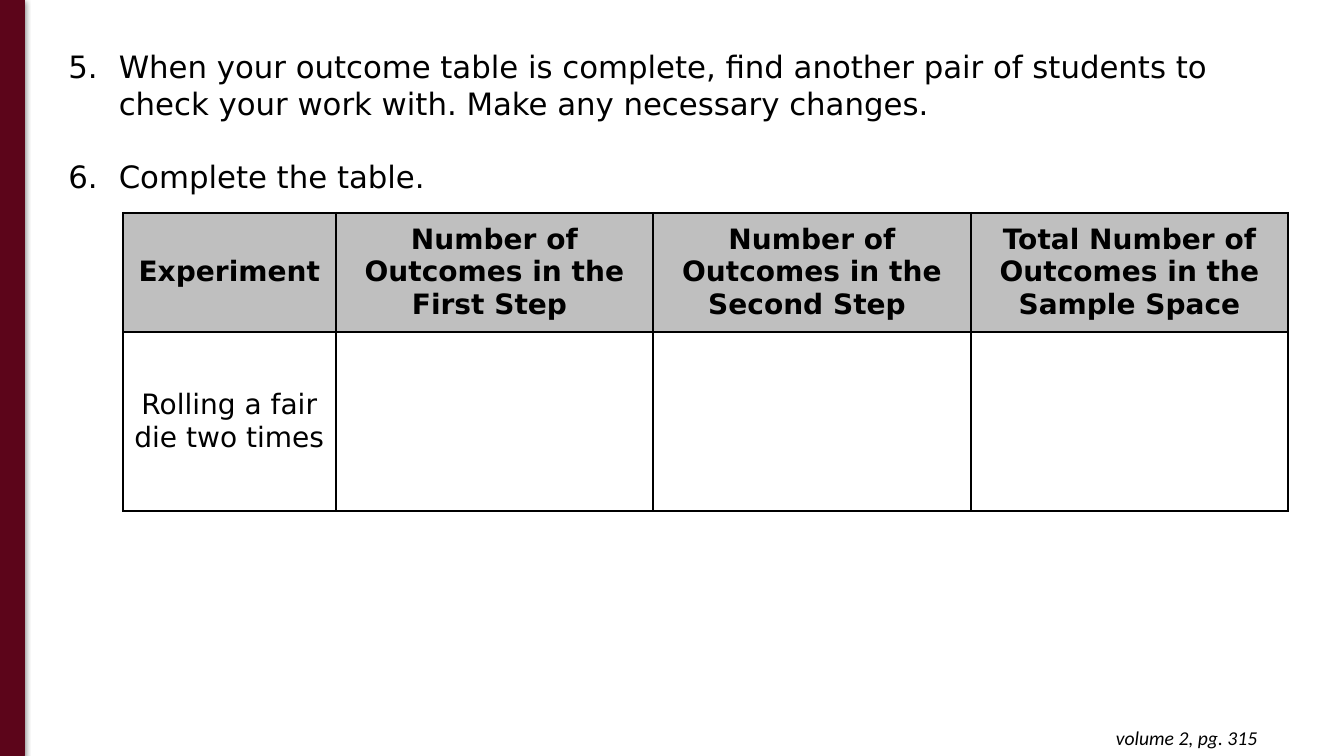
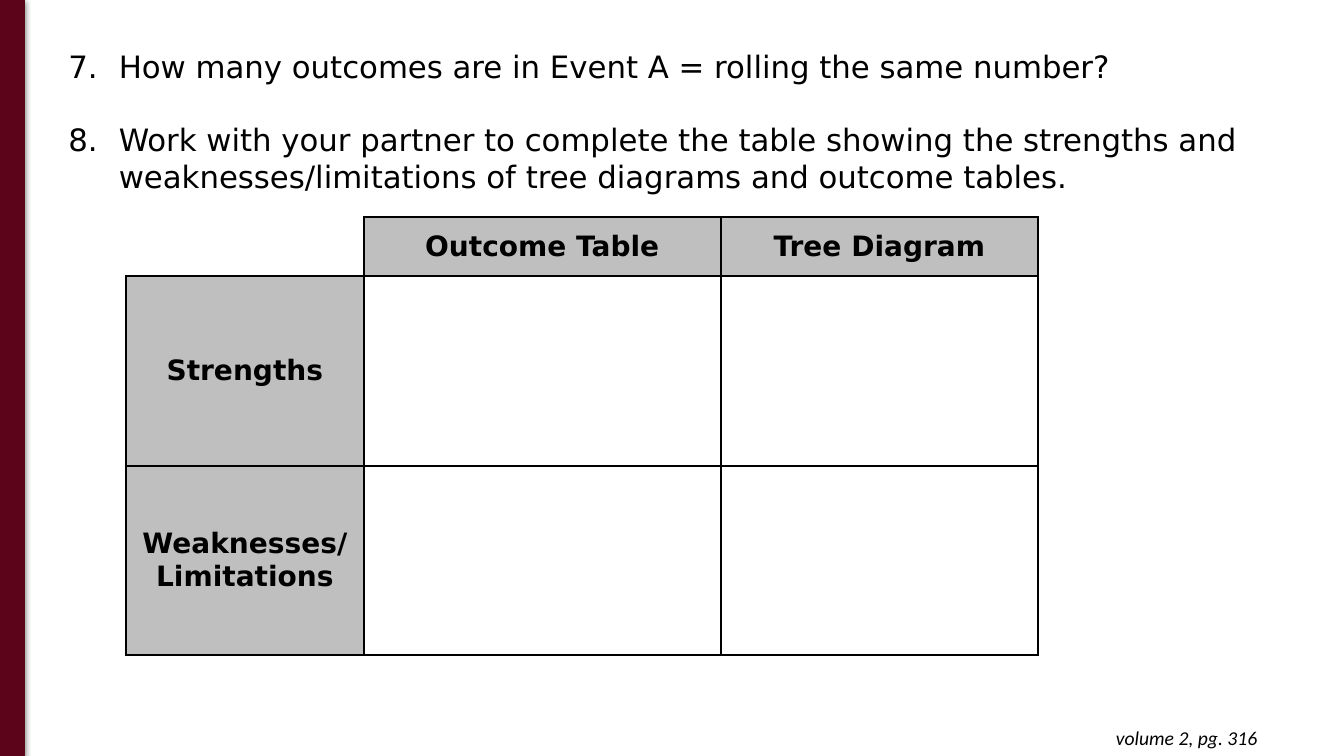
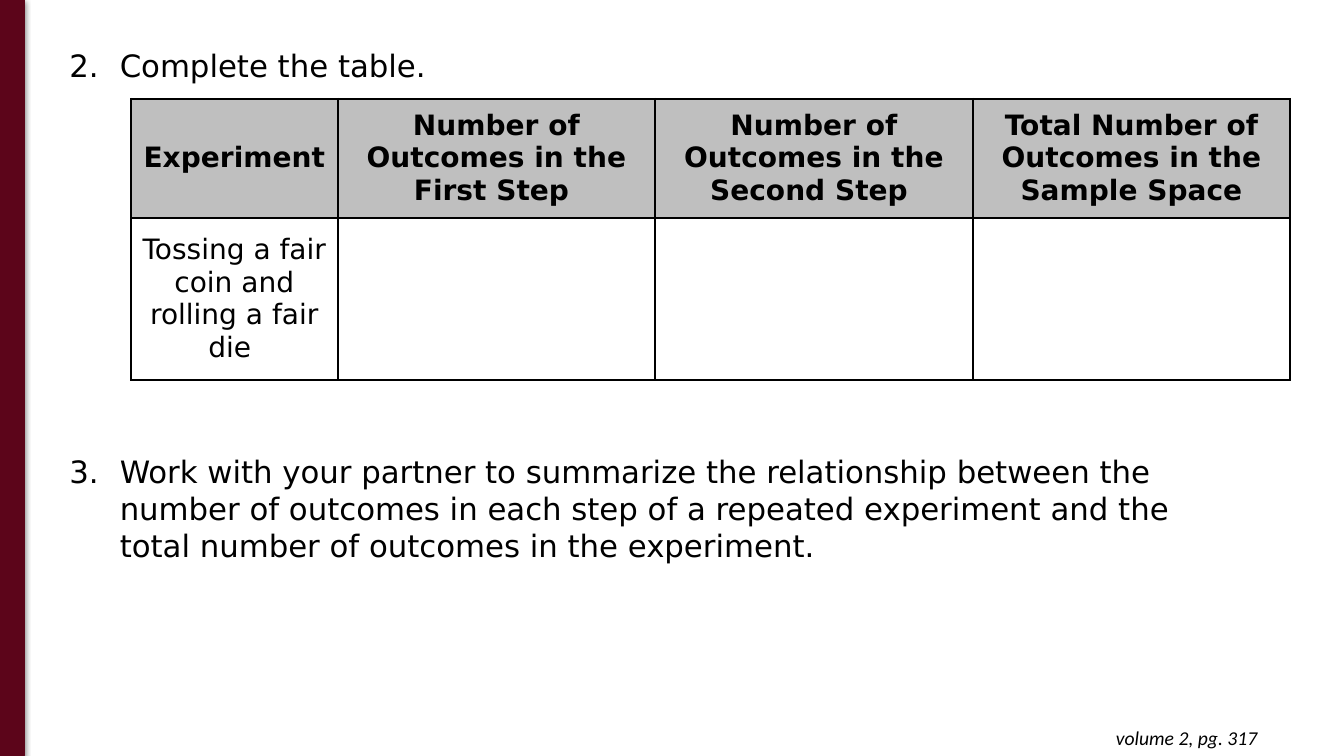
import dataclasses

import lxml.etree
import pptx
import pptx.dml.color
import pptx.enum.shapes
import pptx.enum.text
import pptx.oxml
import pptx.oxml.ns
import pptx.util


@dataclasses.dataclass(frozen=True)
class Theme:
    maroon: str = "5C051A"
    black: str = "000000"
    grey: str = "BFBFBF"
    body_font: str = "DejaVu Sans"
    footer_font: str = "Calibri"
    body: float = 22
    cell: float = 20
    footer: float = 14
    line: float = 26.4
    border: float = 1.5
    band_line: float = 0.75


T = Theme()
qn = pptx.oxml.ns.qn
rgb = pptx.dml.color.RGBColor.from_string
Pt, Inches = pptx.util.Pt, pptx.util.Inches
PP_ALIGN = pptx.enum.text.PP_ALIGN
GROW = pptx.enum.text.MSO_AUTO_SIZE.SHAPE_TO_FIT_TEXT
NS = 'xmlns:a="http://schemas.openxmlformats.org/drawingml/2006/main"'

prs = pptx.Presentation()
prs.slide_width, prs.slide_height = Inches(13.33), Inches(7.5)
COL, ROW = prs.slide_width / 40, prs.slide_height / 30


def box(left, top, width, height):
    """Turn grid columns and rows into lengths."""
    return [round(n) for n in (left * COL, top * ROW, width * COL, height * ROW)]


def style(p, font, size, bold=False, italic=False):
    for r in p.runs:
        r.font.name, r.font.size = font, Pt(size)
        r.font.bold, r.font.italic = bold, italic
        r.font.color.rgb = rgb(T.black)


STEP_HEADINGS = [
    "Experiment",
    "Number of Outcomes in the First Step ",
    "Number of Outcomes in the Second Step ",
    "Total Number of Outcomes in the Sample Space",
]
# "gap" counts the lines left free between the two questions.
SLIDES = [
    dict(
        page=315, start=5, gap=1, list_at=(1.74, 1.68, 35.44, 6.32),
        questions=[
            "When your outcome table is complete, find another pair of students to "
            "check your work with. Make any necessary changes.",
            "Complete the table.",
        ],
        table_at=(3.66, 8.44), cols=[6.33] + [9.45] * 3, rows=[4.72, 7.12], inset=0.07,
        cells=[STEP_HEADINGS, ["Rolling a fair die two times", "", "", ""]],
    ),
    dict(
        page=316, start=7, gap=1, list_at=(1.74, 1.68, 35.44, 7.84),
        questions=[
            "How many outcomes are in Event A = rolling the same number?",
            "Work with your partner to complete the table showing the strengths and "
            "weaknesses/limitations of tree diagrams and outcome tables.",
        ],
        table_at=(3.75, 8.6), cols=[7.08, 10.62, 9.45], rows=[2.36, 7.52, 7.52], inset=0.04,
        cells=[
            ["", "Outcome Table", "Tree Diagram"],
            ["Strengths", "", ""],
            ["Weaknesses/\nLimitations", "", ""],
        ],
    ),
    dict(
        page=317, start=2, gap=10, list_at=(1.77, 1.64, 35.44, 21.12),
        questions=[
            "Complete the table.",
            "Work with your partner to summarize the relationship between the number of "
            "outcomes in each step of a repeated experiment and the total number of "
            "outcomes in the experiment.",
        ],
        table_at=(3.9, 3.92), cols=[6.15] + [9.45] * 3, rows=[4.72, 6.44], inset=0.07,
        cells=[STEP_HEADINGS, ["Tossing a fair coin and rolling a fair die ", "", "", ""]],
    ),
]

for d in SLIDES:
    s = prs.slides.add_slide(prs.slide_layouts[6])

    # Numbered questions
    tf = s.shapes.add_textbox(*box(*d["list_at"])).text_frame
    tf.word_wrap, tf.auto_size = True, GROW
    tf.text = "\n".join(d["questions"])
    tf.paragraphs[1].space_before = Pt(d["gap"] * T.line)
    for p in tf.paragraphs:
        pPr = p._p.get_or_add_pPr()
        pPr.set("marL", str(Inches(0.5)))
        pPr.set("indent", str(-Inches(0.5)))
        for xml in (
            f'<a:buClr {NS}><a:srgbClr val="{T.black}"/></a:buClr>',
            f'<a:buFont {NS} typeface="+mj-lt"/>',
            f'<a:buAutoNum {NS} type="arabicPeriod" startAt="{d["start"]}"/>',
        ):
            pPr.append(pptx.oxml.parse_xml(xml))
        style(p, T.body_font, T.body)

    # Side band
    sp = s.shapes.add_shape(pptx.enum.shapes.MSO_SHAPE.RECTANGLE, *box(0, 0, 0.72, 30))
    sp.fill.solid()
    sp.fill.fore_color.rgb = sp.line.color.rgb = rgb(T.maroon)
    sp.line.width = Pt(T.band_line)
    sp.shadow.inherit = False
    effects = sp._element.spPr.find(qn("a:effectLst"))
    effects.append(pptx.oxml.parse_xml(
        f'<a:outerShdw {NS} blurRad="{Pt(4.5)}" dist="{Pt(1.5)}" dir="5400000" rotWithShape="0">'
        f'<a:srgbClr val="{T.black}"><a:alpha val="50000"/></a:srgbClr></a:outerShdw>'))

    # Table to complete
    cells, cols, rows = d["cells"], d["cols"], d["rows"]
    at = box(*d["table_at"], sum(cols), sum(rows))
    tbl = s.shapes.add_table(len(rows), len(cols), *at).table
    tbl.first_row = tbl.horz_banding = False
    for column, width in zip(tbl.columns, cols):
        column.width = round(width * COL)
    for row, height in zip(tbl.rows, rows):
        row.height = round(height * ROW)
    open_corner = not cells[0][0]
    for i, texts in enumerate(cells):
        for j, text in enumerate(texts):
            cell = tbl.cell(i, j)
            corner = open_corner and i == j == 0
            heading = not corner and (i == 0 or open_corner and j == 0)
            tcPr = cell._tc.get_or_add_tcPr()
            for side in ("lnL", "lnR", "lnT", "lnB"):
                ln = lxml.etree.SubElement(tcPr, qn(f"a:{side}"), w=str(Pt(T.border)))
                if corner and side in ("lnL", "lnT"):
                    lxml.etree.SubElement(ln, qn("a:noFill"))
                else:
                    fill = lxml.etree.SubElement(ln, qn("a:solidFill"))
                    lxml.etree.SubElement(fill, qn("a:srgbClr"), val=T.black)
            if heading:
                cell.fill.solid()
                cell.fill.fore_color.rgb = rgb(T.grey)
            else:
                cell.fill.background()
            if text:
                cell.text = text
                cell.vertical_anchor = pptx.enum.text.MSO_ANCHOR.MIDDLE
                cell.margin_left = cell.margin_right = Inches(d["inset"])
                cell.margin_top = cell.margin_bottom = 0
                for p in cell.text_frame.paragraphs:
                    p.alignment = PP_ALIGN.CENTER
                    style(p, T.body_font, T.cell, bold=heading)

    # Page reference
    tf = s.shapes.add_textbox(*box(29.08, 28.4, 8.64, 1.76)).text_frame
    tf.word_wrap, tf.auto_size = True, GROW
    tf.margin_left = tf.margin_right = tf.margin_top = tf.margin_bottom = Inches(0.1)
    tf.text = f"volume 2, pg. {d['page']}"
    p = tf.paragraphs[0]
    p.alignment = PP_ALIGN.RIGHT
    style(p, T.footer_font, T.footer, italic=True)

prs.save("out.pptx")
